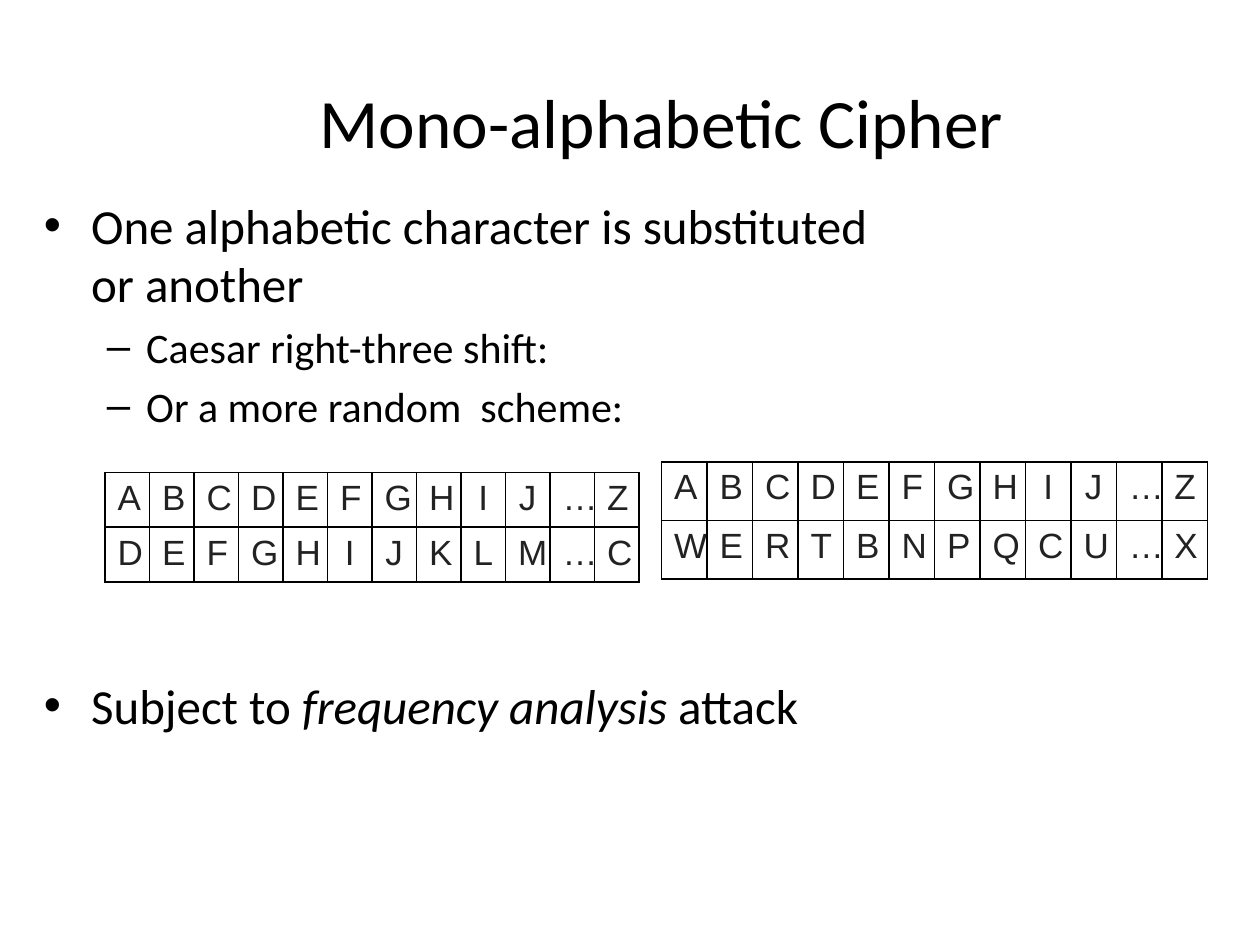
from dataclasses import dataclass

from lxml import etree
from pptx import Presentation
from pptx.dml.color import RGBColor
from pptx.enum.text import MSO_ANCHOR, PP_ALIGN
from pptx.oxml.ns import qn
from pptx.slide import Slide
from pptx.text.text import TextFrame, _Paragraph, _Run
from pptx.util import Pt

CENTER = PP_ALIGN.CENTER
MIDDLE = MSO_ANCHOR.MIDDLE
TOP = MSO_ANCHOR.TOP
BLANK_LAYOUT = 6
BLACK = "000000"
LETTER_GRAY = "222222"
BORDER_WIDTH = 1
BORDER_SIDES = ("a:lnL", "a:lnR", "a:lnT", "a:lnB")


@dataclass
class Span:
    text: str
    italic: bool = False


@dataclass
class Bullet:
    spans: list[Span]
    mark: str
    size: float
    margin: float
    hanging: float
    space_before: float = 0


@dataclass
class CipherTable:
    left: float
    top: float
    column_width: float
    row_height: float
    plain: str
    cipher: str


BULLETS = [
    Bullet([Span("One alphabetic character is substituted \vor another")], "•", 28, 27, 27),
    Bullet([Span("Caesar right-three shift:")], "–", 24, 58.5, 22.5, 4.8),
    Bullet([Span("Or a more random  scheme:")], "–", 24, 58.5, 22.5, 4.8),
    # The wide space leaves room for the two tables.
    Bullet([Span("Subject to "), Span("frequency analysis", True), Span(" attack")],
           "•", 28, 27, 27, 140),
]

TABLES = [
    CipherTable(60, 270, 25.45, 30, "ABCDEFGHIJ…Z", "DEFGHIJKLM…C"),
    CipherTable(378, 264, 26, 33.4, "ABCDEFGHIJ…Z", "WERTBNPQCU…X"),
]


def color(value: str) -> RGBColor:
    return RGBColor.from_string(value)


def style_span(span: _Run, hex_color: str, **font_values) -> None:
    for name, value in font_values.items():
        setattr(span.font, name, value)
    span.font.color.rgb = color(hex_color)


def add_span(para: _Paragraph, text: str, hex_color: str, **font_values) -> None:
    """Add text to a paragraph, with a line break at each vertical tab."""
    for number, line in enumerate(text.split("\v")):
        if number:
            para.add_line_break()
        span = para.add_run()
        span.text = line
        style_span(span, hex_color, **font_values)


def set_hanging_indent(para: _Paragraph, margin: float, hanging: float) -> None:
    properties = para._p.get_or_add_pPr()
    properties.set("marL", str(Pt(margin)))
    properties.set("indent", str(Pt(-hanging)))


def add_text_box(page: Slide, left: float, top: float, width: float, height: float,
                 anchor: MSO_ANCHOR) -> TextFrame:
    box = page.shapes.add_textbox(Pt(left), Pt(top), Pt(width), Pt(height))
    box.text_frame.word_wrap = True
    box.text_frame.vertical_anchor = anchor
    return box.text_frame


def add_title(page: Slide, text: str) -> None:
    para = add_text_box(page, 78, 48, 600, 42, MIDDLE).paragraphs[0]
    para.alignment = CENTER
    add_span(para, text, BLACK, name="Calibri", size=Pt(39.6))


def add_bullets(page: Slide, bullets: list[Bullet]) -> None:
    frame = add_text_box(page, 18, 108, 684, 324, TOP)
    for number, bullet in enumerate(bullets):
        para = frame.add_paragraph() if number else frame.paragraphs[0]
        set_hanging_indent(para, bullet.margin, bullet.hanging)
        properties = para._p.get_or_add_pPr()
        etree.SubElement(properties, qn("a:buFont")).set("typeface", "Arial")
        etree.SubElement(properties, qn("a:buChar")).set("char", bullet.mark)
        if bullet.space_before:
            para.space_before = Pt(bullet.space_before)
        for span in bullet.spans:
            add_span(para, span.text, BLACK, name="Calibri", size=Pt(bullet.size),
                     italic=span.italic)


def add_borders(cell) -> None:
    properties = cell._tc.get_or_add_tcPr()
    for side in BORDER_SIDES:
        line = etree.SubElement(properties, qn(side), w=str(Pt(BORDER_WIDTH)))
        fill = etree.SubElement(line, qn("a:solidFill"))
        etree.SubElement(fill, qn("a:srgbClr"), val=BLACK)


def add_cipher_table(page: Slide, spec: CipherTable) -> None:
    rows = (spec.plain, spec.cipher)
    count = len(spec.plain)
    table = page.shapes.add_table(
        len(rows), count, Pt(spec.left), Pt(spec.top),
        Pt(spec.column_width * count), Pt(spec.row_height * len(rows))).table
    table.first_row = False
    table.horz_banding = False
    for column in table.columns:
        column.width = Pt(spec.column_width)
    for row_number, letters in enumerate(rows):
        table.rows[row_number].height = Pt(spec.row_height)
        for column_number, letter in enumerate(letters):
            cell = table.cell(row_number, column_number)
            add_borders(cell)
            cell.fill.background()
            para = cell.text_frame.paragraphs[0]
            para.alignment = CENTER
            set_hanging_indent(para, 27, 27)
            add_span(para, letter, LETTER_GRAY, name="Arial", size=Pt(20))


def main() -> None:
    deck = Presentation()
    deck.slide_width, deck.slide_height = Pt(720), Pt(540)
    page = deck.slides.add_slide(deck.slide_layouts[BLANK_LAYOUT])
    add_title(page, "Mono-alphabetic Cipher")
    add_bullets(page, BULLETS)
    for table in TABLES:
        add_cipher_table(page, table)
    deck.save("out.pptx")


if __name__ == "__main__":
    main()
